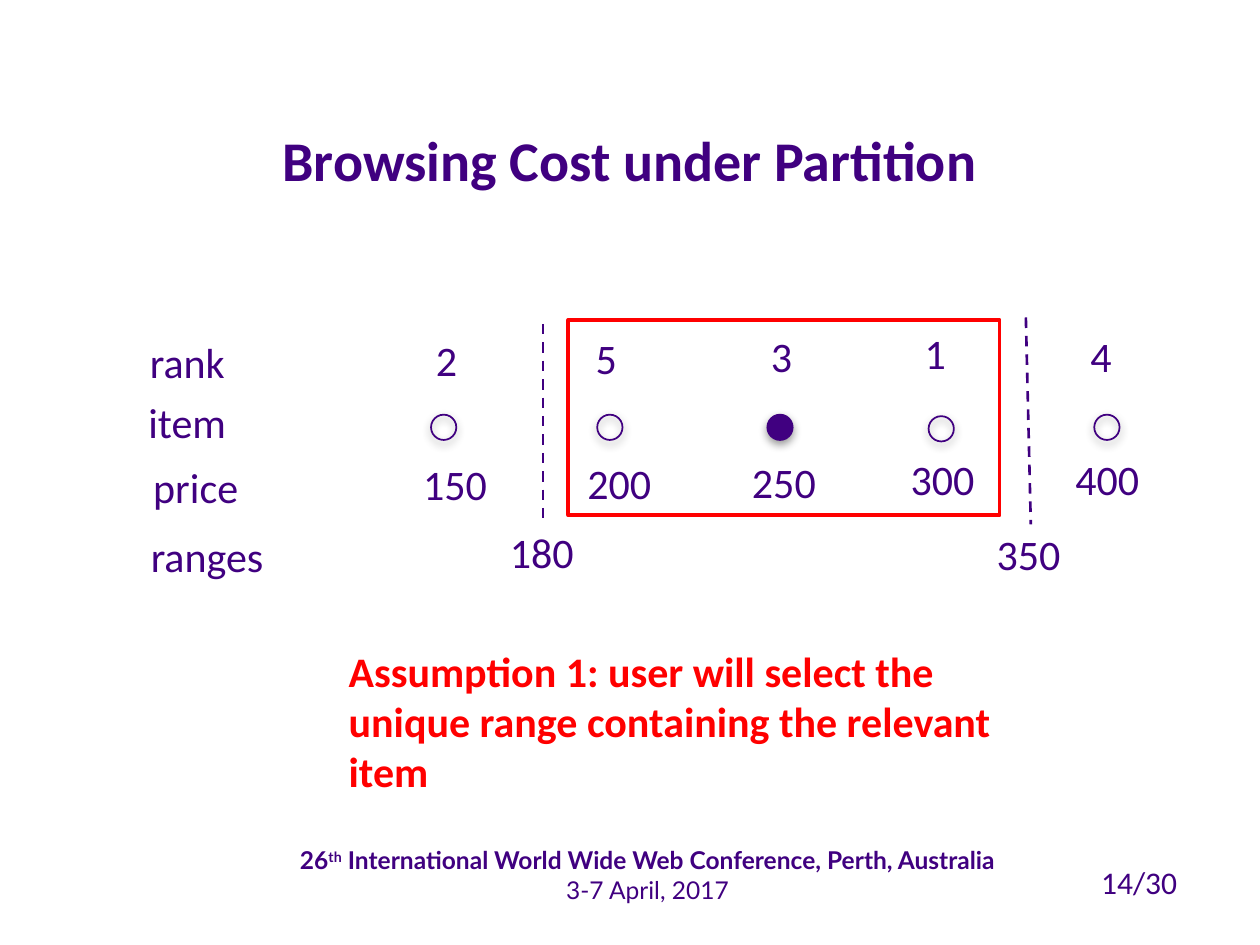
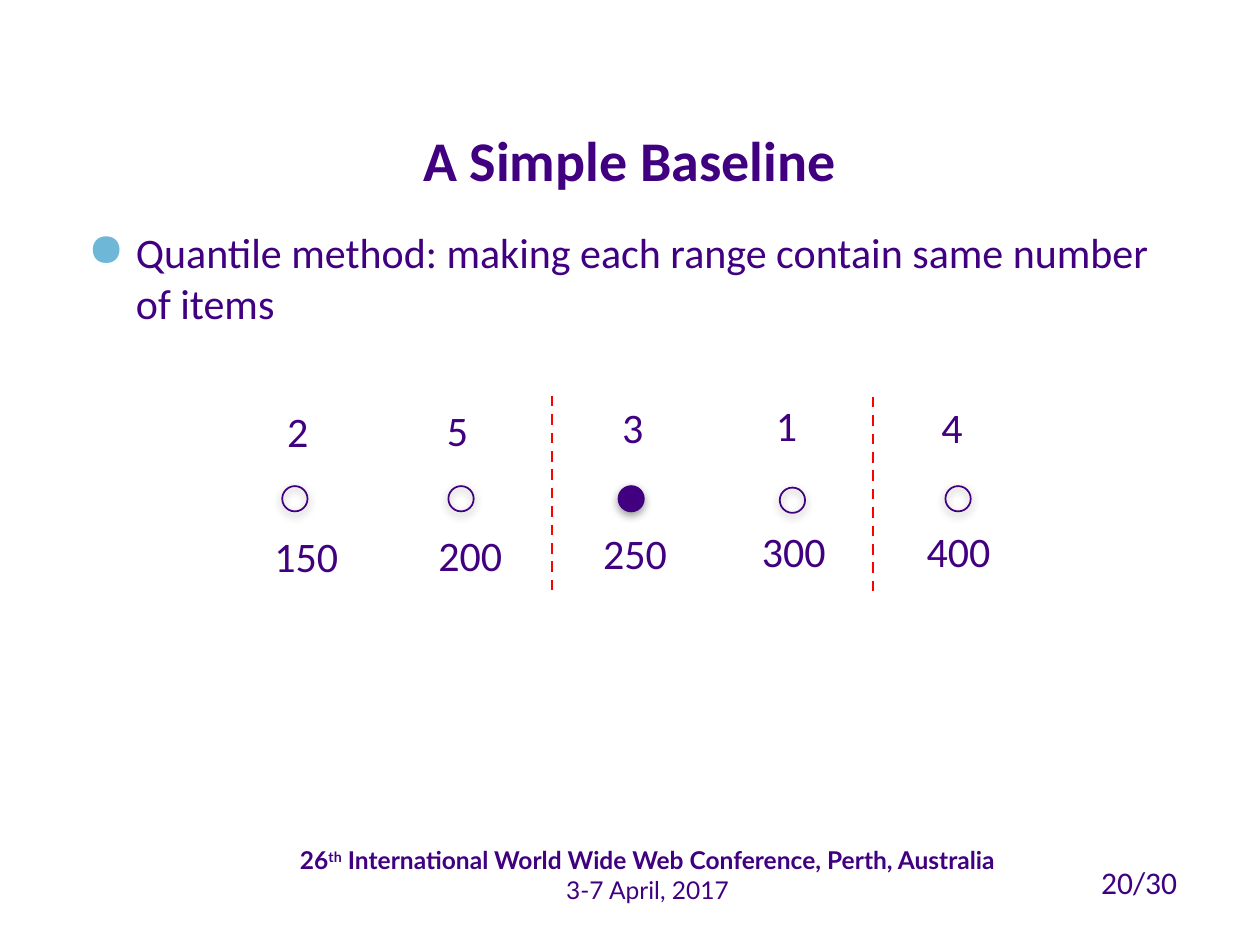
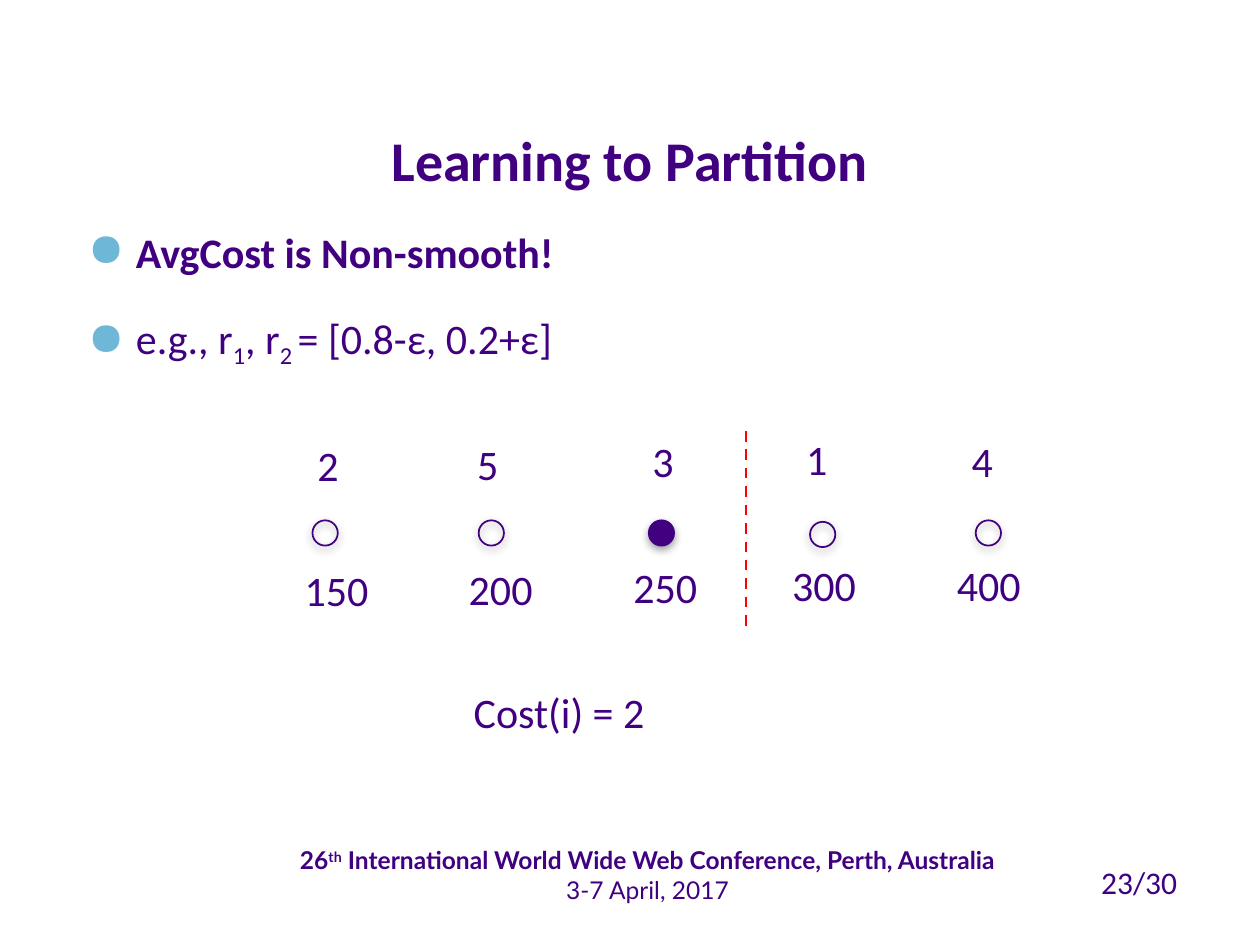
from dataclasses import dataclass
from typing import NamedTuple

from lxml import etree
from pptx import Presentation
from pptx import util as u
from pptx.dml.color import RGBColor
from pptx.enum import dml, shapes, text
from pptx.oxml.ns import qn

# Shared style
PURPLE = RGBColor(0x40, 0x00, 0x80)
RED = RGBColor(0xFF, 0x00, 0x00)
BULLET_BLUE = RGBColor(0x6F, 0xB7, 0xD7)
SHADOW = RGBColor(0x00, 0x00, 0x00)
BODY_FONT, FOOTER_FONT = "Calibri", "Lato"
LABEL_H = 1.27
PRICE_W = 2.67
DOT = 0.51


class Box(NamedTuple):
    """Left, top, width and height in centimetres."""
    x: float
    y: float
    w: float
    h: float

    def emu(self) -> list[u.Cm]:
        return [u.Cm(v) for v in self]


class Run(NamedTuple):
    text: str
    bold: bool = False
    baseline: int = 0  # percent, above or below the line


class Divider(NamedTuple):
    x1: float
    y1: float
    x2: float
    y2: float


@dataclass(frozen=True)
class Item:
    """One item; places are offsets from the first dot."""
    rank: str
    price: str
    dot_at: tuple[float, float]
    rank_at: tuple[float, float]
    price_at: tuple[float, float]
    relevant: bool = False


TITLE_BOX = Box(1.52, 0.3, 22.35, 3.71)
BODY_BOX = Box(1.52, 4.45, 22.35, 12.06)
FOOTER_BOX = Box(4.37, 16.92, 17.37, 1.45)
PAGE_BOX = Box(21.95, 17.27, 2.16, 1.02)

FOOTER = [
    [Run("26", True), Run("th", True, 30),
     Run(" International World Wide Web Conference, Perth, Australia", True)],
    [Run("3-7 April, 2017")],
]
ITEMS = [
    Item("2", "150", (0, 0), (-0.15, -1.75), (-0.41, 0.76)),
    Item("5", "200", (3.35, 0), (3.07, -1.78), (2.9, 0.74)),
    Item("3", "250", (6.78, 0), (6.6, -1.83), (6.22, 0.71), relevant=True),
    Item("1", "300", (10.03, 0.03), (9.7, -1.88), (9.42, 0.66)),
    Item("4", "400", (13.37, 0), (13.04, -1.83), (12.74, 0.66)),
]


# Drawing functions
def add_bullet(p) -> None:
    pPr = p._p.get_or_add_pPr()
    indent = u.Cm(0.97)
    pPr.set("marL", str(indent))
    pPr.set("indent", str(-indent))
    color = etree.SubElement(pPr, qn("a:buClr"))
    etree.SubElement(color, qn("a:srgbClr"), val=str(BULLET_BLUE))
    etree.SubElement(pPr, qn("a:buSzPct"), val="110000")
    etree.SubElement(pPr, qn("a:buChar"), char="●")


def write(tf, content, *, size=24, font=BODY_FONT, color=PURPLE, bold=False,
          align=None, bullet=False) -> None:
    """Fill a frame with a string or a list of paragraphs made of runs."""
    paragraphs = [[Run(content, bold)]] if isinstance(content, str) else content
    for i, runs in enumerate(paragraphs):
        p = tf.add_paragraph() if i else tf.paragraphs[0]
        if bullet:
            add_bullet(p)
            if i:
                p.space_before = u.Pt(20)
        if align is not None:
            p.alignment = align
        for run in runs:
            r = p.add_run()
            r.text = run.text
            r.font.name, r.font.size, r.font.bold = font, u.Pt(size), run.bold
            r.font.color.rgb = color
            if run.baseline:
                r.font._element.set("baseline", str(run.baseline * 1000))


def add_text(slide, box: Box, content, *, wrap=True, **style) -> None:
    tf = slide.shapes.add_textbox(*box.emu()).text_frame
    tf.word_wrap = wrap
    write(tf, content, **style)


def add_outline(slide, kind, box: Box, color: RGBColor, width: float):
    sp = slide.shapes.add_shape(kind, *box.emu())
    sp.shadow.inherit = False
    sp.fill.background()
    sp.line.color.rgb = color
    sp.line.width = u.Pt(width)
    return sp


def add_dot(slide, x: float, y: float, filled: bool) -> None:
    sp = add_outline(slide, shapes.MSO_SHAPE.OVAL, Box(x, y, DOT, DOT), PURPLE, 1)
    if filled:
        sp.fill.solid()
        sp.fill.fore_color.rgb = PURPLE
    effects = sp._element.spPr.find(qn("a:effectLst"))
    shadow = etree.SubElement(effects, qn("a:outerShdw"), blurRad=str(u.Pt(5)),
                              dist=str(u.Pt(2)), dir="5400000", rotWithShape="0")
    color = etree.SubElement(shadow, qn("a:srgbClr"), val=str(SHADOW))
    etree.SubElement(color, qn("a:alpha"), val="40000")


def add_divider(slide, divider: Divider, color: RGBColor) -> None:
    line = slide.shapes.add_connector(shapes.MSO_CONNECTOR.STRAIGHT,
                                      *[u.Cm(v) for v in divider])
    line.line.color.rgb = color
    line.line.width = u.Pt(1.5)
    line.line.dash_style = dml.MSO_LINE.DASH
    etree.SubElement(line._element.spPr, qn("a:effectLst"))


def add_items(slide, x: float, y: float) -> None:
    """Draw the ranked items, with the first dot at x, y."""
    for item in ITEMS:
        dx, dy = item.dot_at
        add_dot(slide, x + dx, y + dy, item.relevant)
        dx, dy = item.rank_at
        add_text(slide, Box(x + dx, y + dy, LABEL_H, LABEL_H), item.rank)
        dx, dy = item.price_at
        add_text(slide, Box(x + dx, y + dy, PRICE_W, LABEL_H), item.price)


def add_slide(prs, title: str, page: int):
    slide = prs.slides.add_slide(prs.slide_layouts[5])
    sp = slide.shapes.title
    sp.left, sp.top, sp.width, sp.height = TITLE_BOX.emu()
    tf = sp.text_frame
    tf.auto_size = text.MSO_AUTO_SIZE.NONE
    tf.vertical_anchor = text.MSO_ANCHOR.BOTTOM
    write(tf, title, size=32, bold=True, align=text.PP_ALIGN.CENTER)
    add_text(slide, FOOTER_BOX, FOOTER, size=14, font=FOOTER_FONT,
             align=text.PP_ALIGN.CENTER)
    add_text(slide, PAGE_BOX, f"{page}/30", size=18, wrap=False)
    return slide


# Slides
def browsing_cost(prs) -> None:
    slide = add_slide(prs, "Browsing Cost under Partition", 14)
    add_items(slide, 8.69, 8.36)
    for label, x, y in [("rank", 2.77, 6.65), ("item", 2.74, 7.87),
                        ("price", 2.84, 9.17), ("ranges", 2.79, 10.57)]:
        add_text(slide, Box(x, y, 3.05, LABEL_H), label)

    # Range limits and the selected range
    for divider in [Divider(10.95, 6.53, 10.95, 10.57),
                    Divider(20.68, 6.4, 20.78, 10.57)]:
        add_divider(slide, divider, PURPLE)
    for limit, x, y in [("180", 10.03, 10.49), ("350", 19.84, 10.52)]:
        add_text(slide, Box(x, y, PRICE_W, LABEL_H), limit)
    add_outline(slide, shapes.MSO_SHAPE.RECTANGLE,
                Box(11.46, 6.45, 8.69, 3.94), RED, 2.25)
    add_text(slide, Box(6.78, 12.88, 14.22, 3.33),
             "Assumption 1: user will select the unique range containing "
             "the relevant item", color=RED, bold=True)


def simple_baseline(prs) -> None:
    slide = add_slide(prs, "A Simple Baseline", 20)
    add_text(slide, BODY_BOX, "Quantile method: making each range contain "
             "same number of items", bullet=True)
    add_items(slide, 5.69, 9.8)
    for divider in [Divider(11.13, 7.98, 11.13, 12.01),
                    Divider(17.6, 8, 17.6, 12.07)]:
        add_divider(slide, divider, RED)


def learning_to_partition(prs) -> None:
    slide = add_slide(prs, "Learning to Partition", 23)
    add_text(slide, BODY_BOX, [
        [Run("AvgCost is Non-smooth!", True)],
        [Run("e.g., r"), Run("1", baseline=-25), Run(", r"),
         Run("2 ", baseline=-25), Run("= [0.8-ε, 0.2+ε]")],
    ], bullet=True)
    add_items(slide, 6.3, 10.49)
    add_divider(slide, Divider(15.04, 8.69, 15.04, 12.73), RED)
    add_text(slide, Box(9.3, 13.72, 7.21, LABEL_H), "Cost(i) = 2")


def main() -> None:
    prs = Presentation()
    prs.slide_width, prs.slide_height = u.Cm(25.4), u.Cm(19.05)
    browsing_cost(prs)
    simple_baseline(prs)
    learning_to_partition(prs)
    prs.save("out.pptx")


if __name__ == "__main__":
    main()
